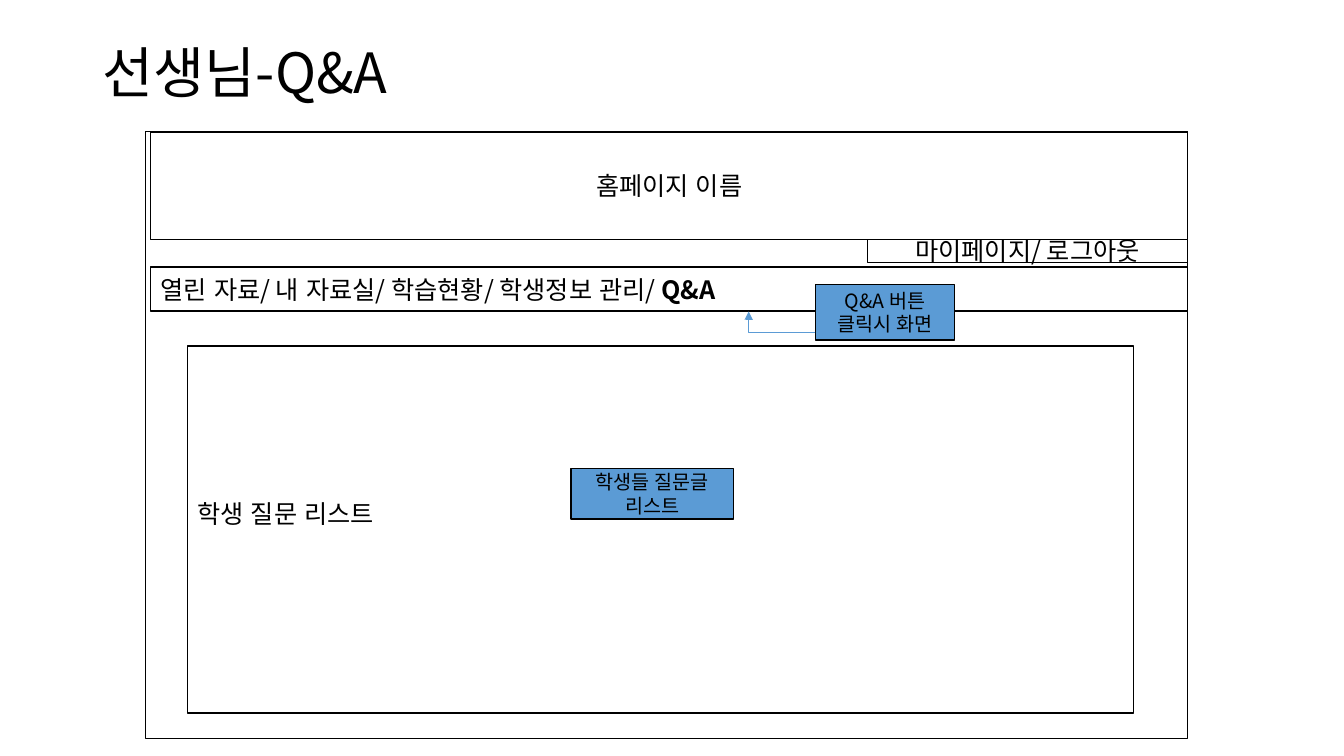
from lxml import etree
from pptx import Presentation
from pptx.dml.color import RGBColor
from pptx.enum import lang, shapes as sh, text as tx
from pptx.oxml import ns
from pptx.util import Cm, Pt

BLACK = RGBColor(0, 0, 0)
WHITE = RGBColor(255, 255, 255)
BLUE = RGBColor(0x5B, 0x9B, 0xD5)
FACE = "Noto Sans CJK KR"
LEFT = tx.PP_ALIGN.LEFT
MID = tx.PP_ALIGN.CENTER


def put(item, form):
    for key, val in form.items():
        setattr(item, key, val)


def write(para, words, size, bold=None, kern="0"):
    run = para.add_run()
    run.text = words
    put(run.font, {"name": FACE, "size": Pt(size), "bold": bold,
                   "language_id": lang.MSO_LANGUAGE_ID.KOREAN})
    run.font.color.rgb = BLACK
    run.font._element.set("kern", kern)
    etree.SubElement(run.font._element, ns.qn("a:ea"), typeface=FACE)


deck = Presentation()
put(deck, {"slide_width": Cm(33.87), "slide_height": Cm(19.05)})
slide = deck.slides.add_slide(deck.slide_layouts[5])

title = slide.shapes.title
put(title, {"left": Cm(2.34), "top": Cm(1.02), "width": Cm(28.32), "height": Cm(1.78)})
put(title.text_frame, {"vertical_anchor": tx.MSO_ANCHOR.MIDDLE,
                       "auto_size": tx.MSO_AUTO_SIZE.NONE, "word_wrap": True})
para = title.text_frame.paragraphs[0]
put(para, {"alignment": LEFT, "line_spacing": 0.9})
write(para, "선생님-Q&A", 39.6, kern="1200")

menu = "열린 자료/ 내 자료실/ 학습현황/ 학생정보 관리/ "
boxes = [
    ((3.67, 3.32, 26.26, 15.29), WHITE, MID, 18, []),
    ((3.8, 3.33, 26.13, 2.7), WHITE, MID, 18, ["홈페이지 이름"]),
    ((21.86, 6.03, 8.07, 0.58), WHITE, MID, 18, ["마이페이지/ 로그아웃"]),
    ((3.8, 6.73, 26.13, 1.11), WHITE, LEFT, 18, [menu]),
    ((4.73, 8.72, 23.83, 9.25), WHITE, LEFT, 18, ["학생 질문 리스트"]),
    ((20.56, 7.17, 3.49, 1.4), BLUE, MID, 14, ["Q&A 버튼", "클릭시 화면"]),
    ((14.39, 11.81, 4.09, 1.27), BLUE, MID, 14, ["학생들 질문글", "리스트"]),
]
for place, fill, align, size, lines in boxes:
    box = slide.shapes.add_shape(sh.MSO_SHAPE.RECTANGLE, *map(Cm, place))
    box.shadow.inherit = False
    box.fill.solid()
    box.fill.fore_color.rgb = fill
    box.line.color.rgb = BLACK
    box.line.width = Pt(1)
    frame = box.text_frame
    put(frame, {"word_wrap": True, "vertical_anchor": tx.MSO_ANCHOR.MIDDLE})
    for num, words in enumerate(lines):
        para = frame.add_paragraph() if num else frame.paragraphs[0]
        para.alignment = align
        write(para, words, size)
        if words == menu:
            write(para, "Q&A", size, True)
        elif align == LEFT:
            frame.margin_bottom = Cm(0.93)

arrow = slide.shapes.add_connector(sh.MSO_CONNECTOR.ELBOW, Cm(20.55), Cm(8.38), Cm(18.87), Cm(7.85))
arrow.line.color.rgb = BLUE
arrow.line.width = Pt(0.5)
props = arrow._element.spPr
etree.SubElement(props.find(ns.qn("a:ln")), ns.qn("a:tailEnd"), type="triangle")
etree.SubElement(props, ns.qn("a:effectLst"))
bend = props.find(ns.qn("a:prstGeom")).find(ns.qn("a:avLst"))
etree.SubElement(bend, ns.qn("a:gd"), name="adj1", fmla="val 100100")

deck.save("out.pptx")
